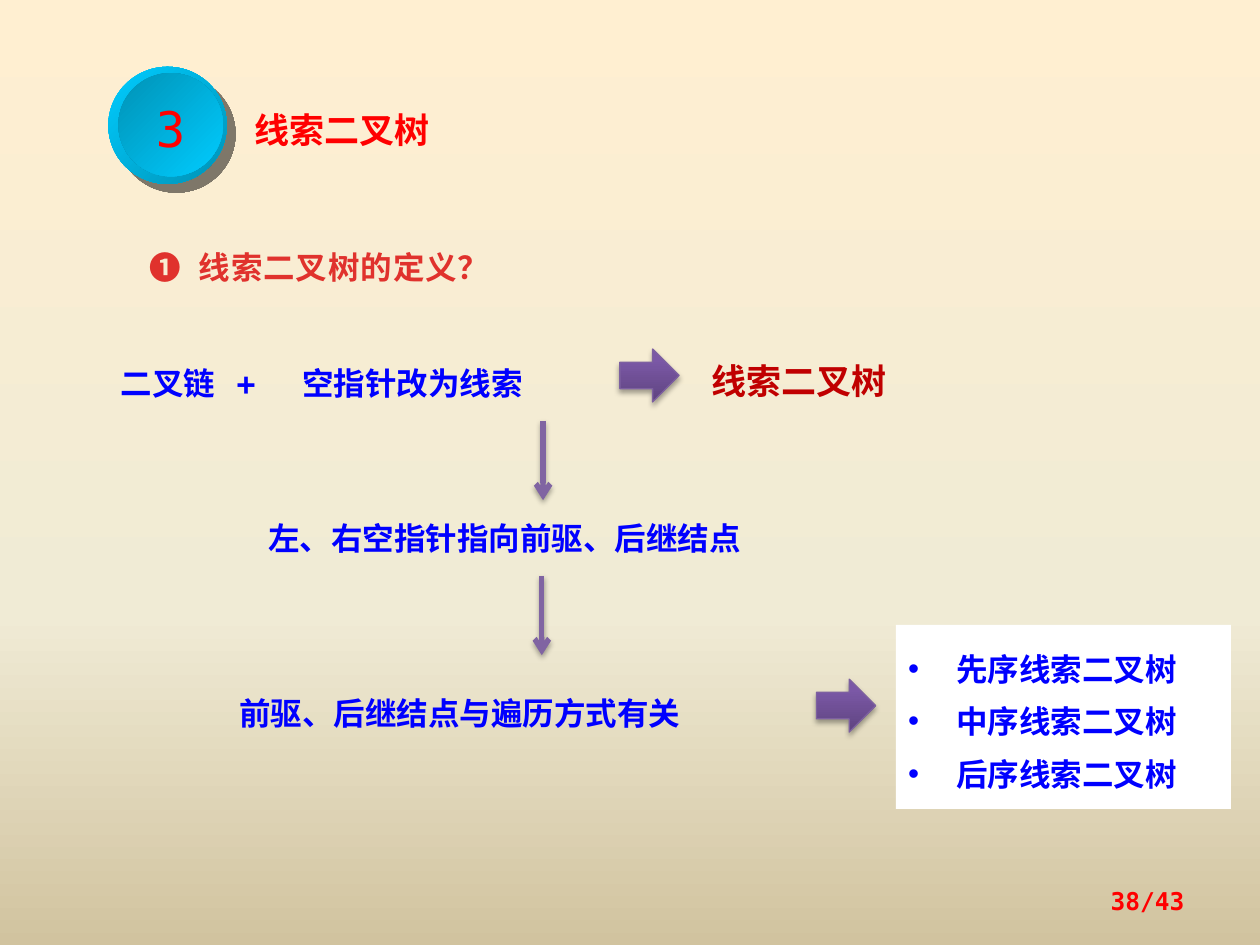
import pptx
import pptx.dml.color
import pptx.enum.shapes
import pptx.enum.text
import pptx.oxml.ns
import pptx.util
from dataclasses import dataclass
from lxml import etree

Inches, Pt = pptx.util.Inches, pptx.util.Pt
SHAPES = pptx.enum.shapes.MSO_SHAPE
ALIGN = pptx.enum.text.PP_ALIGN
ANCHOR = pptx.enum.text.MSO_ANCHOR
qn = pptx.oxml.ns.qn


@dataclass(frozen=True)
class Theme:
    mono: str = "DejaVu Sans Mono"
    sans: str = "Noto Sans CJK SC"
    red: str = "FF0000"
    question: str = "E0322D"
    result: str = "C00000"
    blue: str = "0000FF"
    white: str = "FFFFFF"
    arrow: str = "8064A2"
    arrow_edge: str = "7D60A0"
    digit: int = 28
    heading: int = 20
    body: int = 18
    footer: int = 14
    leading: Pt = Pt(30)
    backdrop: tuple = ((0, "FFEFD1"), (65, "F0EBD5"), (100, "D1C39F"))
    rim: tuple = ((0, "00CCFF"), (100, "0092B6"))
    face: tuple = ((0, "0092B6"), (100, "00CCFF"))
    purple: tuple = ((0, "5F4480"), (80, "7B58A6"), (100, "7C57A8"))
    # Shadows: colour, opacity, blur, distance, angle
    badge_shadow: tuple = ("020202", 50, 0, 7.1, 45)
    arrow_shadow: tuple = ("000000", 35, 3.1, 1.8, 90)


def rgb(code):
    return pptx.dml.color.RGBColor.from_string(code)


def child(parent, tag, **attributes):
    values = {key: str(value) for key, value in attributes.items()}
    return etree.SubElement(parent, qn(tag), values)


class SlideBuilder:
    def __init__(self, page, theme):
        self.page, self.theme = page, theme

    def gradient(self, fill, holder, stops, angle):
        fill.gradient()
        gradient = next(holder.iter(qn("a:gradFill")))
        for part in list(gradient):
            gradient.remove(part)
        stop_list = child(gradient, "a:gsLst")
        for position, color in stops:
            stop = child(stop_list, "a:gs", pos=position * 1000)
            child(stop, "a:srgbClr", val=color)
        child(gradient, "a:lin", ang=angle * 60000, scaled=0)

    def background(self, stops):
        self.gradient(self.page.background.fill, self.page.element, stops, 90)

    def shadow(self, effects, style):
        color, opacity, blur, distance, angle = style
        outer = child(effects, "a:outerShdw", blurRad=Pt(blur), dist=Pt(distance),
                      dir=angle * 60000, algn="ctr", rotWithShape=0)
        child(child(outer, "a:srgbClr", val=color), "a:alpha", val=opacity * 1000)

    def shape(self, kind, at, fill, angle=0, line=None, shadow=None):
        shape = self.page.shapes.add_shape(kind, *map(Inches, at))
        properties = shape._element.spPr
        if isinstance(fill, str):
            shape.fill.solid()
            shape.fill.fore_color.rgb = rgb(fill)
        else:
            self.gradient(shape.fill, properties, fill, angle)
        if line:
            shape.line.color.rgb = rgb(line)
            shape.line.width = Pt(0.75)
        else:
            shape.line.fill.background()
        shape.shadow.inherit = False
        if shadow:
            self.shadow(properties.find(qn("a:effectLst")), shadow)
        return shape

    def block_arrow(self, left, top):
        self.shape(SHAPES.RIGHT_ARROW, (left, top, 0.47, 0.42), self.theme.purple, 270,
                   self.theme.arrow_edge, self.theme.arrow_shadow)

    def down_arrow(self, x, top, length=0.63):
        ends = map(Inches, (x, top, x, top + length))
        line = self.page.shapes.add_connector(
            pptx.enum.shapes.MSO_CONNECTOR.STRAIGHT, *ends)
        line.line.color.rgb = rgb(self.theme.arrow)
        line.line.width = Pt(3)
        properties = line._element.spPr
        child(properties.find(qn("a:ln")), "a:tailEnd", type="arrow")
        self.shadow(child(properties, "a:effectLst"), self.theme.arrow_shadow)

    def set_text(self, shape, lines, size, color, font, bold=True, spacing=None,
                 align=ALIGN.LEFT, anchor=ANCHOR.TOP, tabs=(), bullet=False, tracking=0):
        frame = shape.text_frame
        frame.word_wrap = True
        frame.vertical_anchor = anchor
        frame.text = "\n".join(lines)
        for para in frame.paragraphs:
            para.alignment = align
            para.line_spacing = spacing or self.theme.leading
            properties = para._p.get_or_add_pPr()
            if bullet:
                properties.set("marL", str(Inches(0.38)))
                properties.set("indent", str(Inches(-0.38)))
                child(properties, "a:buFont", typeface="Arial")
                child(properties, "a:buChar", char="•")
            if tabs:
                tab_list = child(properties, "a:tabLst")
                for stop in tabs:
                    child(tab_list, "a:tab", pos=Inches(stop), algn="l")
            para.font.size = Pt(size)
            para.font.bold = bold
            para.font.color.rgb = rgb(color)
            para.font.name = font
            defaults = properties.find(qn("a:defRPr"))
            child(defaults, "a:ea", typeface=self.theme.sans)
            if tracking:
                defaults.set("spc", str(tracking))
        return frame

    def text(self, at, content, size, color, font, **options):
        box = self.page.shapes.add_textbox(*map(Inches, at))
        return self.set_text(box, [content], size, color, font, **options)


theme = Theme()
deck = pptx.Presentation()
deck.slide_width, deck.slide_height = Inches(10), Inches(7.5)
slide = SlideBuilder(deck.slides.add_slide(deck.slide_layouts[6]), theme)
slide.background(theme.backdrop)

# Numbered badge and heading
slide.shape(SHAPES.OVAL, (0.86, 0.53, 0.94, 0.93), theme.rim, 45, shadow=theme.badge_shadow)
badge = slide.shape(SHAPES.OVAL, (0.94, 0.58, 0.83, 0.82), theme.face, 45)
slide.set_text(badge, ["3"], theme.digit, theme.red, theme.mono, bold=False,
               spacing=1.1, align=ALIGN.CENTER, anchor=ANCHOR.MIDDLE)
slide.text((1.92, 0.78, 2.85, 0.45), "线索二叉树", theme.heading, theme.red, theme.sans,
           spacing=1.1)

# Question
slide.text((1.09, 1.8, 4.45, 0.48), "❶\t线索二叉树的定义？", theme.body, theme.question,
           theme.sans, tabs=(0.39,), tracking=50)

# Reasoning steps
steps = (
    ((0.86, 2.72, 3.67, 0.52), "二叉链\t+\t空指针改为线索", (0.92, 1.44)),
    ((2.03, 3.95, 4.92, 0.52), "左、右空指针指向前驱、后继结点", ()),
    ((1.8, 5.34, 4.69, 0.52), "前驱、后继结点与遍历方式有关", ()),
)
for at, content, tabs in steps:
    slide.text(at, content, theme.body, theme.blue, theme.mono, tabs=tabs)
slide.down_arrow(4.31, 3.34)
slide.down_arrow(4.3, 4.57)

# Result and kinds of threaded tree
slide.block_arrow(4.92, 2.77)
slide.text((5.55, 2.72, 2.03, 0.52), "线索二叉树", theme.heading, theme.result, theme.sans)
slide.block_arrow(6.48, 5.39)
kinds = slide.shape(SHAPES.RECTANGLE, (7.11, 4.96, 2.66, 1.46), theme.white)
frame = slide.set_text(kinds, [order + "序线索二叉树" for order in "先中后"],
                       theme.body, theme.blue, theme.sans, bullet=True)
frame.margin_top, frame.margin_bottom = Inches(0.08), Inches(0.12)

# Page number
slide.text((7.17, 6.95, 2.33, 0.4), "38/43", theme.footer, theme.red, theme.mono,
           spacing=1.0, align=ALIGN.RIGHT, anchor=ANCHOR.MIDDLE)

deck.save("out.pptx")
